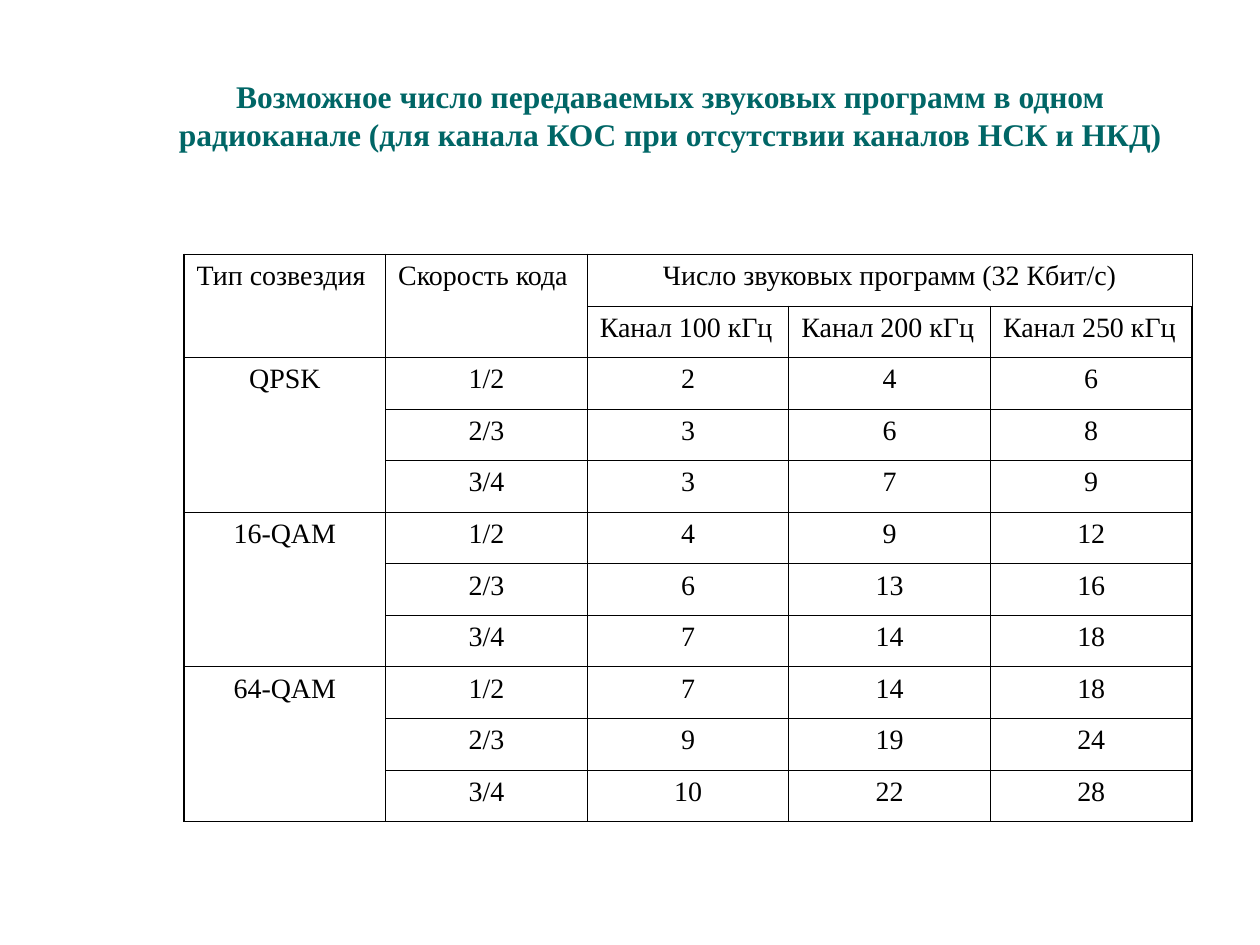
from dataclasses import dataclass

from lxml.etree import SubElement
from pptx import Presentation
from pptx.dml.color import RGBColor
from pptx.enum.text import MSO_ANCHOR as Anchor, MSO_AUTO_SIZE as AutoSize, PP_ALIGN as Align
from pptx.oxml.ns import qn
from pptx.util import Cm, Pt

TITLE = ("Возможное число передаваемых звуковых программ в одном "
         "радиоканале (для канала КОС при отсутствии каналов НСК и НКД)")
ROW_HEADERS = ["Тип созвездия", "Скорость кода"]
GROUP_HEADER = "Число звуковых программ (32 Кбит/с)"
CHANNELS = ["Канал 100 кГц", "Канал 200 кГц", "Канал 250 кГц"]
CODE_RATES = ["1/2", "2/3", "3/4"]
PROGRAMS = {
    "QPSK": [(2, 4, 6), (3, 6, 8), (3, 7, 9)],
    "16-QAM": [(4, 9, 12), (6, 13, 16), (7, 14, 18)],
    "64-QAM": [(7, 14, 18), (9, 19, 24), (10, 22, 28)],
}


@dataclass(frozen=True)
class Theme:
    font: str = "Times New Roman"
    title_color: str = "006666"
    text_color: str = "000000"
    title_size: float = 18
    text_size: float = 16
    outer_border: float = 1.08
    inner_border: float = 0.45


THEME = Theme()


def style_paragraph(paragraph, size, color, alignment, bold=False):
    paragraph.alignment = alignment
    paragraph.font.name = THEME.font
    paragraph.font.size = Pt(size)
    paragraph.font.bold = bold
    paragraph.font.color.rgb = RGBColor.from_string(color)


def add_title(slide):
    title = slide.shapes.title
    title.left, title.top, title.width, title.height = Cm(3.1), Cm(1.12), Cm(20.83), Cm(2.08)
    frame = title.text_frame
    frame.text = TITLE
    frame.word_wrap = True
    frame.auto_size = AutoSize.NONE
    frame.vertical_anchor = Anchor.BOTTOM
    style_paragraph(frame.paragraphs[0], THEME.title_size, THEME.title_color, Align.CENTER, bold=True)


def set_borders(cell, outer_sides):
    properties = cell._tc.get_or_add_tcPr()
    for side in "LRTB":
        width = THEME.outer_border if side in outer_sides else THEME.inner_border
        line = SubElement(properties, qn(f"a:ln{side}"), w=str(Pt(width)))
        fill = SubElement(line, qn("a:solidFill"))
        SubElement(fill, qn("a:srgbClr"), val=THEME.text_color)


def build_rows():
    rows = [[*ROW_HEADERS, GROUP_HEADER, "", ""], ["", "", *CHANNELS]]
    for constellation, counts in PROGRAMS.items():
        for index, (rate, values) in enumerate(zip(CODE_RATES, counts)):
            rows.append([constellation if index == 0 else "", rate, *map(str, values)])
    return rows


def add_programs_table(slide):
    rows = build_rows()
    row_count, column_count = len(rows), len(rows[0])
    width, height = Cm(20.32), Cm(11.43)
    table = slide.shapes.add_table(row_count, column_count, Cm(3.71), Cm(5.13), width, height).table
    table.first_row = table.horz_banding = False
    for column in table.columns:
        column.width = width // column_count
    for row in table.rows:
        row.height = height // row_count

    left_aligned = {*ROW_HEADERS, *CHANNELS}
    for row_index, texts in enumerate(rows):
        for column_index, text in enumerate(texts):
            cell = table.cell(row_index, column_index)
            edges = {"L": column_index == 0, "R": column_index == column_count - 1,
                     "T": row_index == 0, "B": row_index == row_count - 1}
            set_borders(cell, [side for side, outer in edges.items() if outer])
            cell.fill.background()
            cell.text = text
            alignment = Align.LEFT if text in left_aligned else Align.CENTER
            style_paragraph(cell.text_frame.paragraphs[0], THEME.text_size, THEME.text_color, alignment)

    for column_index in range(len(ROW_HEADERS)):
        table.cell(0, column_index).merge(table.cell(1, column_index))
    table.cell(0, len(ROW_HEADERS)).merge(table.cell(0, column_count - 1))
    for first in range(2, row_count, len(CODE_RATES)):
        table.cell(first, 0).merge(table.cell(first + len(CODE_RATES) - 1, 0))


def main():
    presentation = Presentation()
    presentation.slide_width, presentation.slide_height = Cm(25.4), Cm(19.05)
    slide = presentation.slides.add_slide(presentation.slide_layouts[5])
    add_title(slide)
    add_programs_table(slide)
    presentation.save("out.pptx")


if __name__ == "__main__":
    main()
